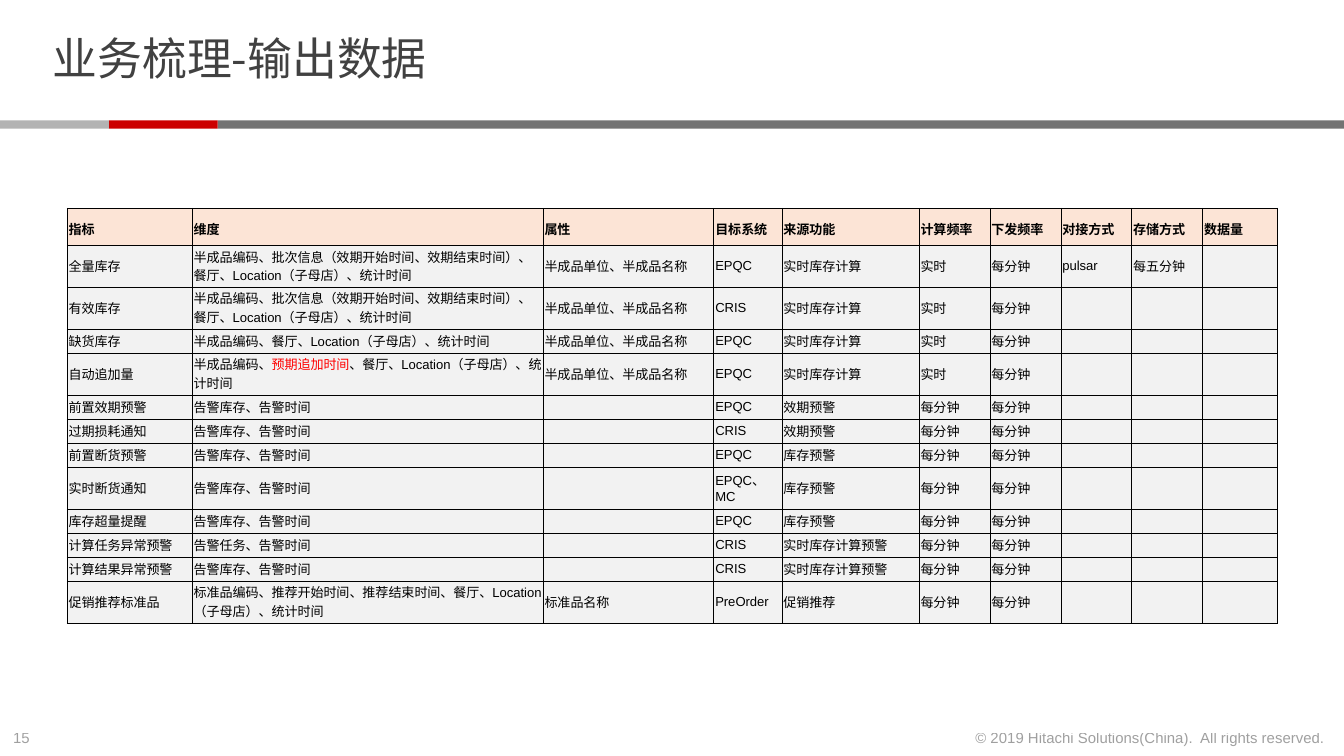
from lxml import etree
from pptx import Presentation
from pptx.dml.color import RGBColor
from pptx.enum import shapes, text
from pptx.oxml import ns
from pptx.util import Pt

COLORS = {
    "ink": "414141",
    "black": "000000",
    "alert": "FF0000",
    "header": "FCE4D6",
    "body": "F2F2F2",
    "light": "B3B3B3",
    "red": "CC0000",
    "dark": "737373",
}
LATIN, CJK = "Arial", "Noto Sans CJK SC"

HEADERS = ["指标", "维度", "属性", "目标系统", "来源功能", "计算频率",
           "下发频率", "对接方式", "存储方式", "数据量"]
COL_WIDTHS = [67, 188, 91.5, 36.5, 73.5, 38, 38, 38, 38, 40]
HEADER_HEIGHT, SINGLE, DOUBLE = 20, 12.9, 22.4

BATCH = "半成品编码、批次信息（效期开始时间、效期结束时间）、餐厅、Location（子母店）、统计时间"
STOCK_ATTR = "半成品单位、半成品名称"
ALARM = "告警库存、告警时间"
CALC = "实时库存计算"
LIVE, MINUTE = "实时", "每分钟"

ROWS = [
    (DOUBLE, "全量库存", BATCH, STOCK_ATTR, "EPQC", CALC, LIVE, "pulsar", "每五分钟"),
    (DOUBLE, "有效库存", BATCH, STOCK_ATTR, "CRIS", CALC, LIVE),
    (SINGLE, "缺货库存", "半成品编码、餐厅、Location（子母店）、统计时间", STOCK_ATTR, "EPQC", CALC, LIVE),
    (DOUBLE, "自动追加量", "半成品编码、|预期追加时间|、餐厅、Location（子母店）、统计时间",
     STOCK_ATTR, "EPQC", CALC, LIVE),
    (SINGLE, "前置效期预警", ALARM, "", "EPQC", "效期预警", MINUTE),
    (SINGLE, "过期损耗通知", ALARM, "", "CRIS", "效期预警", MINUTE),
    (SINGLE, "前置断货预警", ALARM, "", "EPQC", "库存预警", MINUTE),
    (DOUBLE, "实时断货通知", ALARM, "", "EPQC、MC", "库存预警", MINUTE),
    (SINGLE, "库存超量提醒", ALARM, "", "EPQC", "库存预警", MINUTE),
    (SINGLE, "计算任务异常预警", "告警任务、告警时间", "", "CRIS", "实时库存计算预警", MINUTE),
    (SINGLE, "计算结果异常预警", ALARM, "", "CRIS", "实时库存计算预警", MINUTE),
    (DOUBLE, "促销推荐标准品", "标准品编码、推荐开始时间、推荐结束时间、餐厅、Location（子母店）、统计时间",
     "标准品名称", "PreOrder", "促销推荐", MINUTE),
]


def rgb(name):
    return RGBColor.from_string(COLORS[name])


def format_run(r, size, color, latin=LATIN, bold=False):
    r.font.size = Pt(size)
    r.font.bold = bold
    r.font.name = latin
    r.font.color.rgb = rgb(color)
    ea = etree.Element(ns.qn("a:ea"), typeface=CJK)
    r.font._element.find(ns.qn("a:latin")).addnext(ea)


def add_title(s, left, top, width, height):
    sp = s.shapes.title
    sp.left, sp.top, sp.width, sp.height = Pt(left), Pt(top), Pt(width), Pt(height)
    tf = sp.text_frame
    tf.text = "业务梳理-输出数据"
    tf.auto_size = text.MSO_AUTO_SIZE.NONE
    tf.vertical_anchor = text.MSO_ANCHOR.MIDDLE
    tf.margin_top = tf.margin_bottom = 0
    p = tf.paragraphs[0]
    p.alignment = text.PP_ALIGN.LEFT
    p.line_spacing = 0.85
    format_run(p.runs[0], 24, "ink", latin=CJK)


def add_divider(s, left, top, width, height):
    group = s.shapes.add_group_shape()
    step = 58.3
    bars = [("dark", 2 * step, width - 2 * step), ("red", step, step), ("light", 0, step)]
    for color, offset, length in bars:
        sp = group.shapes.add_shape(shapes.MSO_SHAPE.RECTANGLE, Pt(left + offset), Pt(top),
                                    Pt(length), Pt(height))
        sp.shadow.inherit = False
        sp.fill.solid()
        sp.fill.fore_color.rgb = rgb(color)
        sp.line.fill.background()


def add_footer_text(s, words, align, left, top, width, height):
    tf = s.shapes.add_textbox(Pt(left), Pt(top), Pt(width), Pt(height)).text_frame
    tf.word_wrap = False
    tf.text = words
    p = tf.paragraphs[0]
    p.alignment = align
    r = p.runs[0]
    format_run(r, 8, "ink")
    srgb = r.font._element.find(".//" + ns.qn("a:srgbClr"))
    etree.SubElement(srgb, ns.qn("a:alpha"), val="50000")


def add_footer(s, left, top, width, height):
    add_footer_text(s, "15", text.PP_ALIGN.LEFT, left, top, 24.5, height)
    notice = 204.5
    add_footer_text(s, "© 2019 Hitachi Solutions(China).\u00a0 All rights reserved.",
                    text.PP_ALIGN.RIGHT, left + width - notice, top, notice, height)


def add_borders(cell):
    tc_pr = cell._tc.get_or_add_tcPr()
    for side in ("lnL", "lnR", "lnT", "lnB"):
        ln = etree.SubElement(tc_pr, ns.qn("a:" + side), w=str(Pt(0.5)))
        fill = etree.SubElement(ln, ns.qn("a:solidFill"))
        etree.SubElement(fill, ns.qn("a:srgbClr"), val=COLORS["black"])


def fill_cell(cell, words, header):
    add_borders(cell)
    cell.fill.solid()
    cell.fill.fore_color.rgb = rgb("header" if header else "body")
    cell.vertical_anchor = text.MSO_ANCHOR.MIDDLE
    cell.margin_left = cell.margin_right = cell.margin_top = Pt(0.75)
    cell.margin_bottom = Pt(3.6 if header else 1.5)
    p = cell.text_frame.paragraphs[0]
    if header:
        p.line_spacing = 1.5
    if not words:
        etree.SubElement(p._p, ns.qn("a:endParaRPr"), sz="700")
        return
    for i, part in enumerate(words.split("|")):
        r = p.add_run()
        r.text = part
        format_run(r, 7, "alert" if i % 2 else "black", bold=header)


def add_metrics_table(s, left, top):
    heights = [HEADER_HEIGHT] + [row[0] for row in ROWS]
    lines = [HEADERS] + [[*row[1:7], MINUTE, *row[7:]] for row in ROWS]
    table = s.shapes.add_table(len(lines), len(HEADERS), Pt(left), Pt(top),
                               Pt(sum(COL_WIDTHS)), Pt(sum(heights))).table
    table.first_row = table.horz_banding = False
    for column, width in zip(table.columns, COL_WIDTHS):
        column.width = Pt(width)
    for i, (height, line) in enumerate(zip(heights, lines)):
        table.rows[i].height = Pt(height)
        for j in range(len(HEADERS)):
            fill_cell(table.cell(i, j), line[j] if j < len(line) else "", i == 0)


def main():
    prs = Presentation()
    prs.slide_width, prs.slide_height = Pt(720), Pt(405)
    s = prs.slides.add_slide(prs.slide_layouts[5])
    add_divider(s, 0, 64.5, 720, 4.5)
    add_footer(s, 0, 387, 717, 17)
    add_title(s, 21, 4.3, 555, 57.6)
    add_metrics_table(s, 36, 111.6)
    prs.save("out.pptx")


if __name__ == "__main__":
    main()
